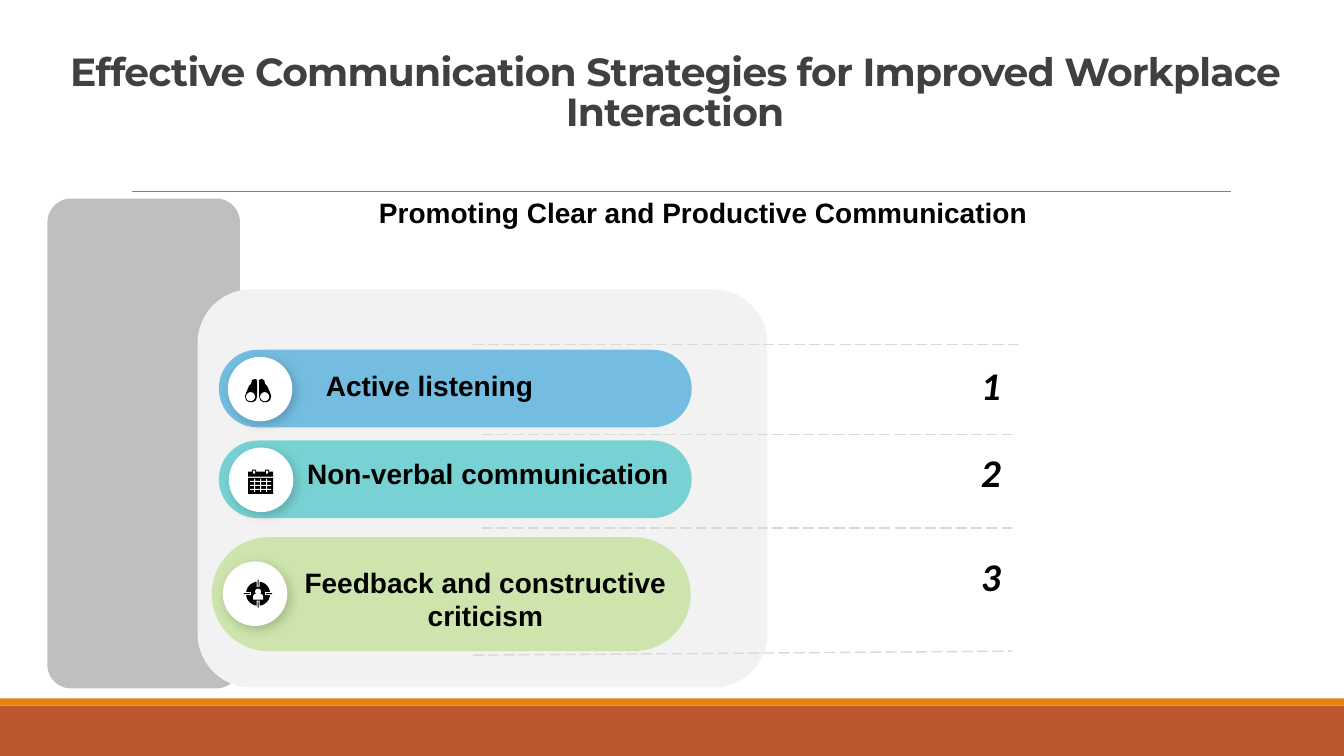
from lxml import etree
from pptx import Presentation
from pptx.dml.color import RGBColor
from pptx.enum.dml import MSO_LINE
from pptx.enum.shapes import MSO_CONNECTOR, MSO_SHAPE
from pptx.enum.text import MSO_ANCHOR, MSO_AUTO_SIZE, PP_ALIGN
from pptx.oxml import parse_xml
from pptx.oxml.ns import qn
from pptx.util import Inches, Pt

RECT, ROUND, OVAL = MSO_SHAPE.RECTANGLE, MSO_SHAPE.ROUNDED_RECTANGLE, MSO_SHAPE.OVAL
TORSO = MSO_SHAPE.ROUND_2_SAME_RECTANGLE
LINE, DASH = MSO_CONNECTOR.STRAIGHT, MSO_LINE.LONG_DASH
CENTER, LEFT = PP_ALIGN.CENTER, PP_ALIGN.LEFT
BLACK = RGBColor(0x00, 0x00, 0x00)
WHITE = RGBColor(0xFF, 0xFF, 0xFF)
DARK = RGBColor(0x40, 0x40, 0x40)
GRAY = RGBColor(0x80, 0x80, 0x80)
SILVER = RGBColor(0xBF, 0xBF, 0xBF)
PALE = RGBColor(0xF2, 0xF2, 0xF2)
RULE = RGBColor(0xD9, 0xD9, 0xD9)
RUST = RGBColor(0xBD, 0x58, 0x2C)
ORANGE = RGBColor(0xE4, 0x83, 0x12)
BLUE = RGBColor(0x74, 0xBD, 0xE0)
TEAL = RGBColor(0x78, 0xD2, 0xD3)
GREEN = RGBColor(0xCD, 0xE4, 0xAC)

TITLE = "Effective Communication Strategies for Improved Workplace Interaction"
HEAD = "Promoting Clear and Productive Communication"
# text, text box, pill box, pill colour, disc corner, number top
ITEMS = [
    ("Active listening", (3.1, 3.61, 2.32, 0.44),
     (2.17, 3.47, 4.69, 0.77), BLUE, (2.26, 3.54), 3.54),
    ("Non-verbal communication", (2.67, 4.48, 4.34, 0.44),
     (2.17, 4.37, 4.69, 0.77), TEAL, (2.27, 4.44), 4.4),
    ("Feedback and constructive criticism", (2.9, 5.56, 3.83, 0.77),
     (2.1, 5.33, 4.75, 1.13), GREEN, (2.21, 5.57), 5.43),
]
DASHES = [(4.69, 3.42, 10.11, 3.42), (4.78, 4.31, 10.04, 4.31),
          (4.78, 5.24, 10.04, 5.24), (4.69, 6.5, 10.04, 6.46)]
# right half of the binoculars, measured from their middle line
BARREL = [(0.01, 0.01), (0.03, 0), (0.06, 0.01), (0.07, 0.05), (0.09, 0.07),
          (0.12, 0.14), (0.13, 0.17), (0.12, 0.21), (0.09, 0.23), (0.05, 0.23),
          (0.02, 0.21), (0.01, 0.17)]
DISC = 0.64
SHADOW = ('<a:effectLst xmlns:a="http://schemas.openxmlformats.org/drawingml/2006/main">'
          '<a:outerShdw blurRad="101600" dist="38100" dir="2700000" algn="tl" '
          'rotWithShape="0"><a:srgbClr val="000000"><a:alpha val="18000"/>'
          '</a:srgbClr></a:outerShdw></a:effectLst>')

prs = Presentation()
prs.slide_width, prs.slide_height = Inches(13.33), Inches(7.5)
slide = prs.slides.add_slide(prs.slide_layouts[5])
shapes = slide.shapes


def paint(shape, color):
    shape.shadow.inherit = False
    shape.fill.solid()
    shape.fill.fore_color.rgb = color
    shape.line.fill.background()
    return shape


def block(kind, box, color, adj=None):
    shape = paint(shapes.add_shape(kind, *map(Inches, box)), color)
    if adj is not None:
        shape.adjustments[0] = adj
    return shape


def rule(ends, color, width, dash=None):
    line = shapes.add_connector(LINE, *map(Inches, ends))
    line.line.color.rgb = color
    line.line.width = Pt(width)
    if dash:
        line.line.dash_style = dash
    etree.SubElement(line._element.spPr, qn("a:effectLst"))


def write(frame, text, face, size, color=BLACK, align=CENTER):
    para = frame.paragraphs[0]
    para.alignment = align
    run = para.add_run()
    run.text = text
    font = run.font
    font.name, font.size, font.bold = face, Pt(size), True
    font.color.rgb = color
    return run


def label(box, text, face="Arial", size=20, align=CENTER, wrap=True):
    frame = shapes.add_textbox(*map(Inches, box)).text_frame
    frame.word_wrap = wrap
    frame.auto_size = MSO_AUTO_SIZE.SHAPE_TO_FIT_TEXT
    return write(frame, text, face, size, align=align)


def glasses(mid=2.56, top=3.76):
    for side in (-1, 1):
        pts = [(Inches(mid + side * x), Inches(top + y)) for x, y in BARREL]
        form = shapes.build_freeform(*pts[0], scale=1.0)
        form.add_line_segments(pts[1:], close=True)
        paint(form.convert_to_shape(), BLACK)
        lens = mid + side * 0.07
        block(OVAL, (lens - 0.05, top + 0.13, 0.09, 0.09), WHITE)


def calendar(left=2.46, top=4.66):
    block(RECT, (left, top + 0.02, 0.25, 0.05), BLACK)
    block(RECT, (left, top + 0.08, 0.25, 0.16), BLACK)
    for x in (0.04, 0.17):
        block(RECT, (left + x, top, 0.04, 0.05), BLACK)
        block(RECT, (left + x + 0.01, top + 0.01, 0.02, 0.03), WHITE)
    for step in range(3):
        block(RECT, (left + 0.06 + 0.06 * step, top + 0.09, 0.01, 0.13), WHITE)
        block(RECT, (left + 0.02, top + 0.11 + 0.04 * step, 0.21, 0.01), WHITE)


def target(x=2.56, y=5.89):
    block(OVAL, (x - 0.12, y - 0.12, 0.24, 0.24), BLACK)
    for dx, dy in ((0, -1), (1, 0), (0, 1), (-1, 0)):
        for far, long, wide, color in ((0.1, 0.06, 0.03, WHITE),
                                       (0.11, 0.06, 0.01, BLACK)):
            w, h = (long, wide) if dx else (wide, long)
            block(RECT, (x + far * dx - w / 2, y + far * dy - h / 2, w, h), color)
    block(OVAL, (x - 0.03, y - 0.05, 0.06, 0.06), WHITE)
    block(TORSO, (x - 0.05, y, 0.1, 0.06), WHITE, 0.5)


block(RECT, (0, 7, 13.33, 0.5), RUST)
block(RECT, (0, 6.93, 13.33, 0.07), ORANGE)
rule((1.31, 1.9, 12.21, 1.9), GRAY, 0.5)
block(ROUND, (0.47, 1.97, 1.91, 4.86), SILVER, 0.123)
block(ROUND, (1.96, 2.87, 5.65, 3.95), PALE, 0.135)

title = shapes.title
title.left, title.top, title.width, title.height = map(Inches, (0.52, 0.33, 12.35, 1.06))
frame = title.text_frame
frame.word_wrap = True
frame.auto_size = MSO_AUTO_SIZE.NONE
frame.vertical_anchor = MSO_ANCHOR.BOTTOM
run = write(frame, TITLE, "Montserrat", 28, DARK)
run.font._element.set("spc", "-50")
frame.paragraphs[0].line_spacing = 0.85

for ends in DASHES:
    rule(ends, RULE, 1, DASH)
for num, (text, area, pill, color, disc, top) in enumerate(ITEMS, 1):
    block(ROUND, pill, color, 0.5)
    round_ = block(OVAL, (*disc, DISC, DISC), WHITE)
    props = round_._element.spPr
    props.replace(props.find(qn("a:effectLst")), parse_xml(SHADOW))
    label(area, text)
    mark = label((9.63, top, 0.4, 0.57), str(num), "Calibri", 28, LEFT, False)
    mark.font.italic = True
for icon in (glasses, calendar, target):
    icon()
label((2.83, 1.89, 8.29, 0.44), HEAD)

prs.save("out.pptx")
